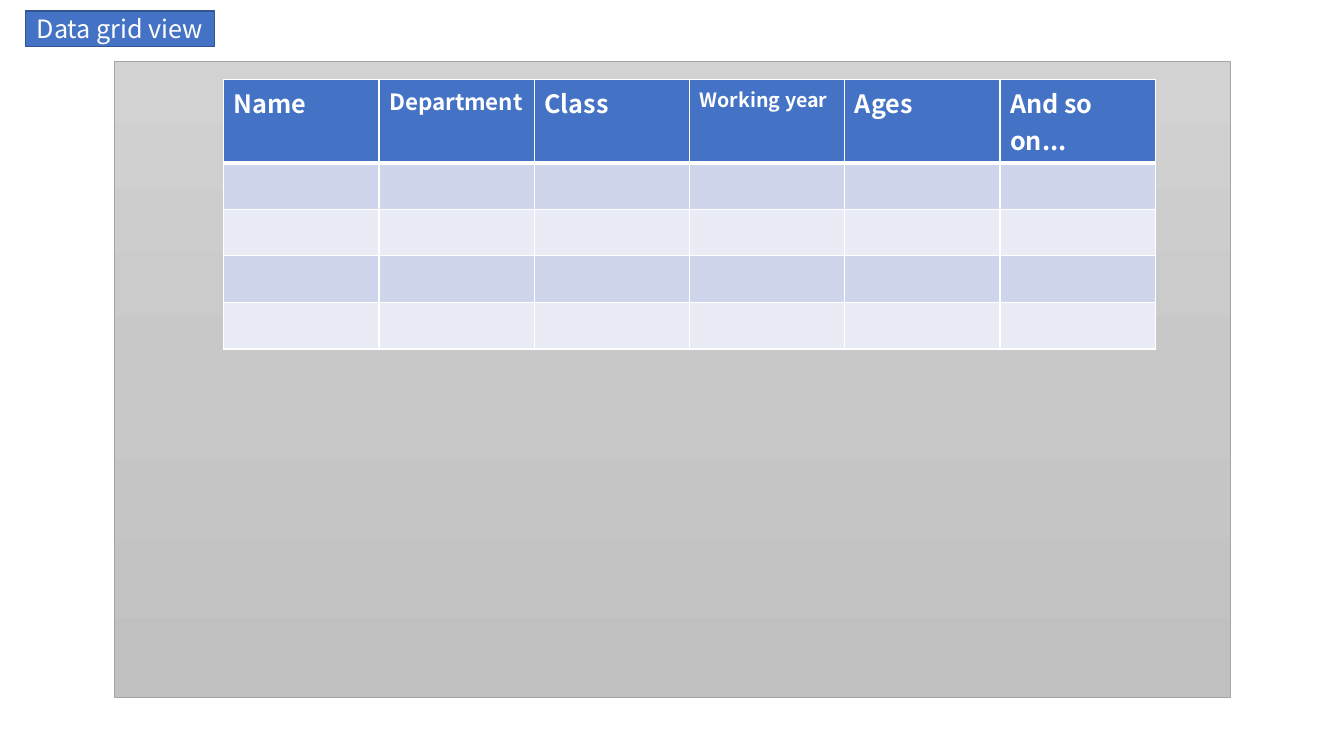
from copy import deepcopy
from dataclasses import dataclass

from lxml.etree import SubElement
from pptx import Presentation
from pptx.dml.color import RGBColor
from pptx.enum.shapes import MSO_SHAPE
from pptx.enum.text import MSO_ANCHOR, MSO_AUTO_SIZE, PP_ALIGN
from pptx.oxml.ns import qn
from pptx.util import Inches, Pt


@dataclass(frozen=True)
class Theme:
    """Colours, font and type sizes of the slide."""
    font: str = "Noto Sans CJK JP"
    white: str = "FFFFFF"
    accent: str = "4472C4"
    accent_edge: str = "325491"
    panel_edge: str = "A5A5A5"
    panel_stops: tuple = ((0, "D2D2D2"), (0.5, "C8C8C8"), (1, "C0C0C0"))
    bands: tuple = ("CFD5EA", "E9EBF5")
    large: int = 18
    medium: int = 16
    small: int = 14


theme = Theme()


def write(frame, text, size=theme.large, bold=False, align=PP_ALIGN.LEFT):
    """Put formatted text in a frame; empty text only sets the line's type."""
    paragraph = frame.paragraphs[0]
    paragraph.alignment = align
    if text:
        run = paragraph.add_run()
        run.text = text
        run.font.name, run.font.size, run.font.bold = theme.font, Pt(size), bold
        run.font.color.rgb = RGBColor.from_string(theme.white)
    else:
        ending = SubElement(paragraph._p, qn("a:endParaRPr"), sz=str(size * 100))
        for script in ("a:latin", "a:ea"):
            SubElement(ending, qn(script), typeface=theme.font)


def style_cell(cell, colour, bottom_width):
    """Fill a cell and draw its white borders."""
    properties = cell._tc.get_or_add_tcPr()
    widths = {"a:lnL": 1, "a:lnR": 1, "a:lnT": 1, "a:lnB": bottom_width}
    for side, width in widths.items():
        border = SubElement(properties, qn(side), w=str(Pt(width)))
        solid = SubElement(border, qn("a:solidFill"))
        SubElement(solid, qn("a:srgbClr"), val=theme.white)
    cell.fill.solid()
    cell.fill.fore_color.rgb = RGBColor.from_string(colour)


presentation = Presentation()
presentation.slide_width, presentation.slide_height = Inches(13.33), Inches(7.5)
slide = presentation.slides.add_slide(presentation.slide_layouts[5])

# Window panel, behind the grid
panel = slide.shapes.add_shape(
    MSO_SHAPE.RECTANGLE, Inches(1.13), Inches(0.61), Inches(11.07), Inches(6.31))
panel.shadow.inherit = False
panel.line.color.rgb = RGBColor.from_string(theme.panel_edge)
panel.line.width = Pt(0.5)
panel.fill.gradient()
panel.fill.gradient_angle = 270
stop_list = panel._element.find(".//" + qn("a:gsLst"))
stop_list.append(deepcopy(stop_list[-1]))
for stop, (position, colour) in zip(panel.fill.gradient_stops, theme.panel_stops):
    stop.position = position
    stop.color.rgb = RGBColor.from_string(colour)

# Title label
title = slide.shapes.title
title.left, title.top = Inches(0.25), Inches(0.11)
title.width, title.height = Inches(1.88), Inches(0.35)
title.fill.solid()
title.fill.fore_color.rgb = RGBColor.from_string(theme.accent)
title.line.color.rgb = RGBColor.from_string(theme.accent_edge)
title.line.width = Pt(1)
label = title.text_frame
label.auto_size = MSO_AUTO_SIZE.NONE
label.word_wrap = True
label.vertical_anchor = MSO_ANCHOR.MIDDLE
label.margin_left = label.margin_right = Inches(0.05)
label.margin_top = label.margin_bottom = 0
write(label, "Data grid view", align=PP_ALIGN.CENTER)

# Data grid: a header above empty banded rows
headers = [
    ("Name", theme.large), ("Department", theme.medium), ("Class", theme.large),
    ("Working year", theme.small), ("Ages", theme.large), ("And so on...", theme.large),
]
row_count, row_height, column_width = 5, 0.41, 1.54
grid = slide.shapes.add_table(
    row_count, len(headers), Inches(2.22), Inches(0.79),
    Inches(column_width * len(headers)), Inches(row_height * row_count)).table
for column, (heading, size) in enumerate(headers):
    header = grid.cell(0, column)
    style_cell(header, theme.accent, bottom_width=3)
    write(header.text_frame, heading, size=size, bold=True)
    for row in range(1, row_count):
        entry = grid.cell(row, column)
        style_cell(entry, theme.bands[(row - 1) % 2], bottom_width=1)
        write(entry.text_frame, "")

presentation.save("out.pptx")
